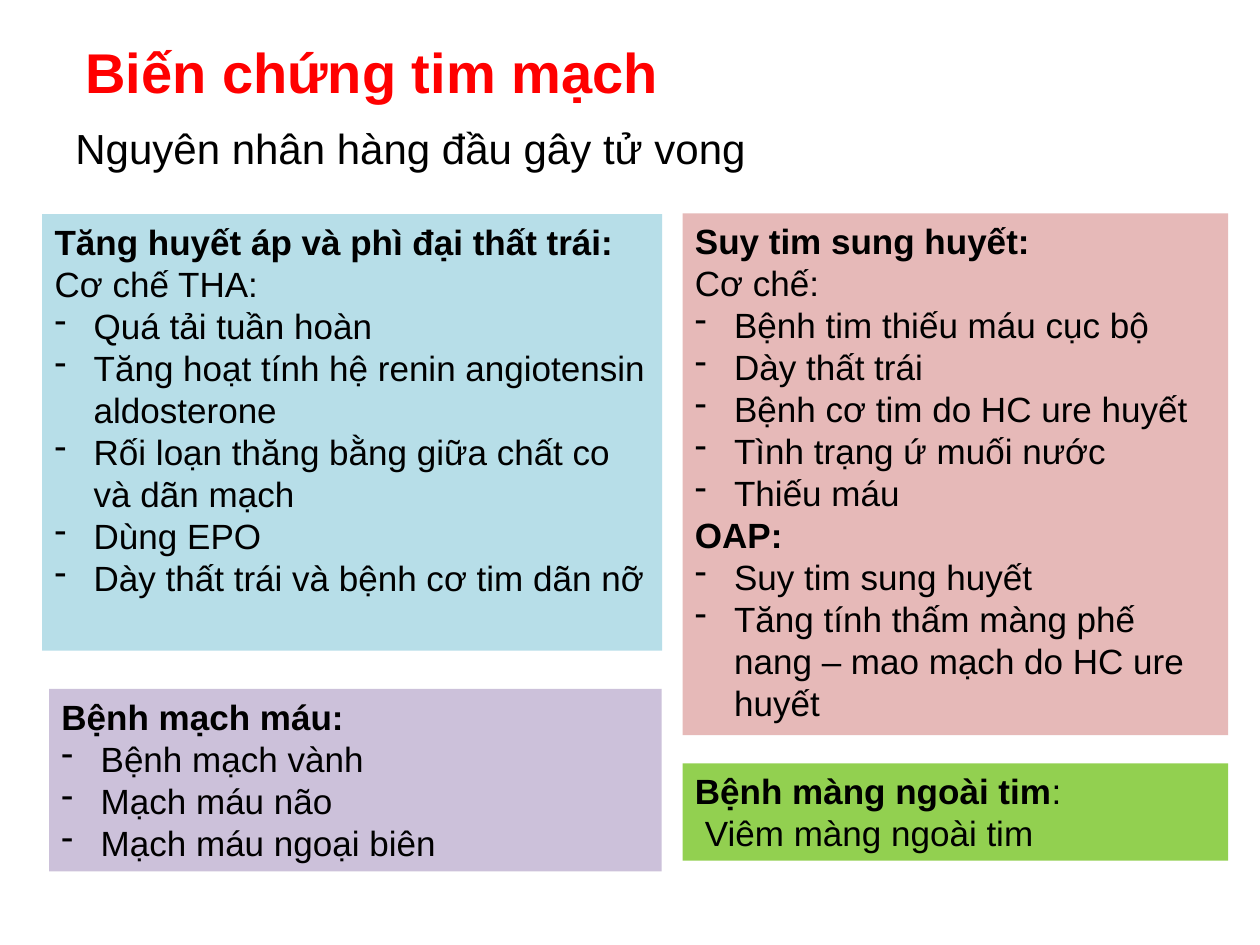
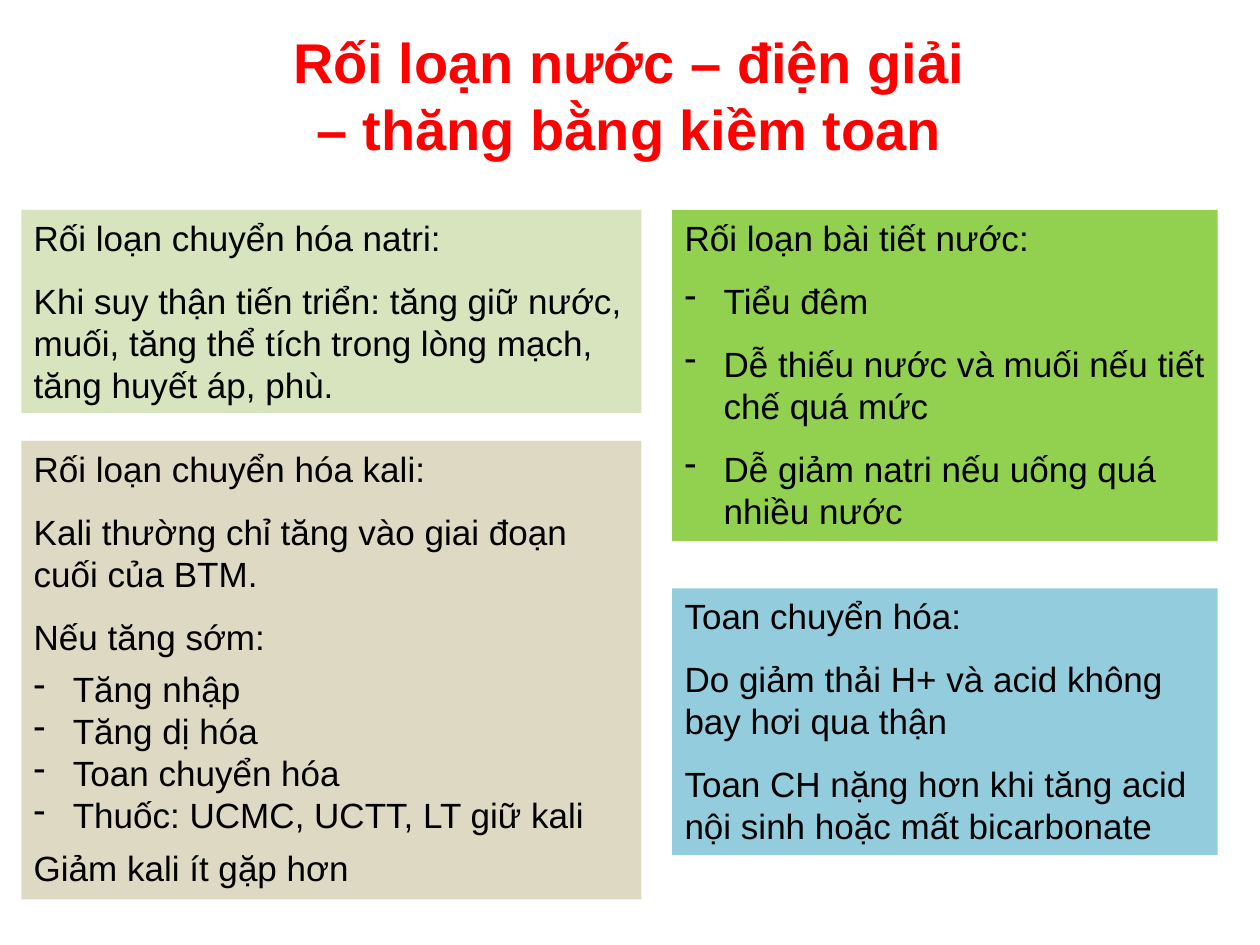
from dataclasses import dataclass

from lxml import etree
from pptx import Presentation
from pptx.dml.color import RGBColor
from pptx.enum.shapes import MSO_SHAPE
from pptx.enum.text import MSO_ANCHOR, PP_ALIGN
from pptx.oxml.ns import qn
from pptx.util import Cm, Pt

RECTANGLE = MSO_SHAPE.RECTANGLE
TOP = MSO_ANCHOR.TOP
LEFT, CENTER = PP_ALIGN.LEFT, PP_ALIGN.CENTER

FONT = "Arial"
TITLE_SIZE, SUBTITLE_SIZE, BODY_SIZE = 32, 24, 20
DASH_INDENT = 0.79
GAP = 6
LEFT_WIDTH, RIGHT_WIDTH = 12.5, 11
COLORS = {
    "title": "FF0000",
    "text": "000000",
    "sky": "B7DEE8",
    "rose": "E6B9B8",
    "lilac": "CCC1DA",
    "green": "92D050",
    "sage": "D7E4BD",
    "sand": "DDD9C3",
    "blue": "93CDDD",
}


@dataclass
class Line:
    """One paragraph: a bold part, a regular part and its layout."""
    regular: str = ""
    bold: str = ""
    dash: bool = False
    gap: int = 0
    indent: float = 0


def dashes(*texts, gap=0):
    """Return one dashed line for each text."""
    return [Line(text, dash=True, gap=gap) for text in texts]


def spaced(*texts):
    """Return one line with space around it for each text."""
    return [Line(text, gap=GAP) for text in texts]


def color(name):
    """Return the named colour."""
    return RGBColor.from_string(COLORS[name])


def add_run(paragraph, text, size, color_name="text", bold=False):
    """Add one formatted run to a paragraph."""
    run = paragraph.add_run()
    run.text = text
    run.font.name = FONT
    run.font.size = Pt(size)
    run.font.bold = bold
    run.font.color.rgb = color(color_name)


def set_indent(paragraph, line):
    """Set the left indent and, for a dashed line, its hanging dash."""
    properties = paragraph._p.get_or_add_pPr()
    margin = DASH_INDENT if line.dash else line.indent
    properties.set("marL", str(Cm(margin)))
    if line.dash:
        properties.set("indent", str(-Cm(margin)))
        etree.SubElement(properties, qn("a:buFontTx"))
        etree.SubElement(properties, qn("a:buChar")).set("char", "-")


def add_heading(slide, text, box, size, color_name, bold=False, alignment=LEFT):
    """Add a line of heading text in the given box."""
    shape = slide.shapes.add_textbox(*map(Cm, box))
    shape.text_frame.word_wrap = True
    paragraph = shape.text_frame.paragraphs[0]
    paragraph.alignment = alignment
    add_run(paragraph, text, size, color_name, bold)


def add_title(slide, text, box, alignment=LEFT):
    """Add the red slide title."""
    add_heading(slide, text, box, TITLE_SIZE, "title", True, alignment)


def add_panel(slide, box, fill, lines):
    """Add a coloured panel filled with lines of text."""
    shape = slide.shapes.add_shape(RECTANGLE, *map(Cm, box))
    shape.shadow.inherit = False
    shape.fill.solid()
    shape.fill.fore_color.rgb = color(fill)
    shape.line.fill.background()
    frame = shape.text_frame
    frame.word_wrap = True
    frame.vertical_anchor = TOP
    for number, line in enumerate(lines):
        paragraph = frame.add_paragraph() if number else frame.paragraphs[0]
        set_indent(paragraph, line)
        paragraph.alignment = LEFT
        paragraph.space_before = Pt(line.gap if number else 0)
        paragraph.space_after = Pt(line.gap)
        for text, bold in ((line.bold, True), (line.regular, False)):
            if text:
                add_run(paragraph, text, BODY_SIZE, bold=bold)


def build_heart_slide(slide):
    """Build the slide on cardiovascular complications."""
    add_title(slide, "Biến chứng tim mạch", (1.47, 0.64, 20.5, 1.62))
    add_heading(slide, "Nguyên nhân hàng đầu gây tử vong",
                (1.27, 2.34, 18.3, 1.27), SUBTITLE_SIZE, "text")
    right = 13.76
    add_panel(slide, (0.85, 4.32, LEFT_WIDTH, 8.8), "sky", [
        Line(bold="Tăng huyết áp và phì đại thất trái:"),
        Line("Cơ chế THA:"),
        *dashes("Quá tải tuần hoàn",
                "Tăng hoạt tính hệ renin angiotensin aldosterone",
                "Rối loạn thăng bằng giữa chất co và dãn mạch",
                "Dùng EPO",
                "Dày thất trái và bệnh cơ tim dãn nỡ"),
    ])
    add_panel(slide, (right, 4.3, RIGHT_WIDTH, 10.52), "rose", [
        Line(bold="Suy tim sung huyết:"),
        Line("Cơ chế:"),
        *dashes("Bệnh tim thiếu máu cục bộ",
                "Dày thất trái",
                "Bệnh cơ tim do HC ure huyết",
                "Tình trạng ứ muối nước",
                "Thiếu máu"),
        Line(bold="OAP:"),
        *dashes("Suy tim sung huyết",
                "Tăng tính thấm màng phế nang – mao mạch do HC ure huyết"),
    ])
    add_panel(slide, (0.99, 13.89, 12.35, 3.68), "lilac", [
        Line(bold="Bệnh mạch máu:"),
        *dashes("Bệnh mạch vành", "Mạch máu não", "Mạch máu ngoại biên"),
    ])
    add_panel(slide, (right, 15.39, RIGHT_WIDTH, 1.96), "green", [
        Line(bold="Bệnh màng ngoài tim", regular=":"),
        Line("Viêm màng ngoài tim", indent=0.2),
    ])


def build_electrolyte_slide(slide):
    """Build the slide on water, electrolyte and acid-base disorders."""
    add_title(slide, "Rối loạn nước – điện giải – thăng bằng kiềm toan",
              (5.28, 0.43, 14.81, 3), CENTER)
    left, right, top = 0.43, 13.55, 4.23
    add_panel(slide, (left, top, LEFT_WIDTH, 4.1), "sage", spaced(
        "Rối loạn chuyển hóa natri:",
        "Khi suy thận tiến triển: tăng giữ nước, muối, "
        "tăng thể tích trong lòng mạch, tăng huyết áp, phù."))
    add_panel(slide, (right, top, RIGHT_WIDTH, 6.68), "green", [
        *spaced("Rối loạn bài tiết nước:"),
        *dashes("Tiểu đêm",
                "Dễ thiếu nước và muối nếu tiết chế quá mức",
                "Dễ giảm natri nếu uống quá nhiều nước", gap=GAP),
    ])
    add_panel(slide, (left, 8.89, LEFT_WIDTH, 9.24), "sand", [
        *spaced("Rối loạn chuyển hóa kali:",
                "Kali thường chỉ tăng vào giai đoạn cuối của BTM.",
                "Nếu tăng sớm:"),
        *dashes("Tăng nhập", "Tăng dị hóa", "Toan chuyển hóa",
                "Thuốc: UCMC, UCTT, LT giữ kali"),
        *spaced("Giảm kali ít gặp hơn"),
    ])
    add_panel(slide, (right, 11.86, RIGHT_WIDTH, 5.38), "blue", spaced(
        "Toan chuyển hóa:",
        "Do giảm thải H+ và acid không bay hơi qua thận",
        "Toan CH nặng hơn khi tăng acid nội sinh hoặc mất bicarbonate"))


def main():
    """Build and save the presentation."""
    presentation = Presentation()
    presentation.slide_width, presentation.slide_height = Cm(25.4), Cm(19.05)
    blank = presentation.slide_layouts[6]
    for build in (build_heart_slide, build_electrolyte_slide):
        build(presentation.slides.add_slide(blank))
    presentation.save("out.pptx")


if __name__ == "__main__":
    main()
